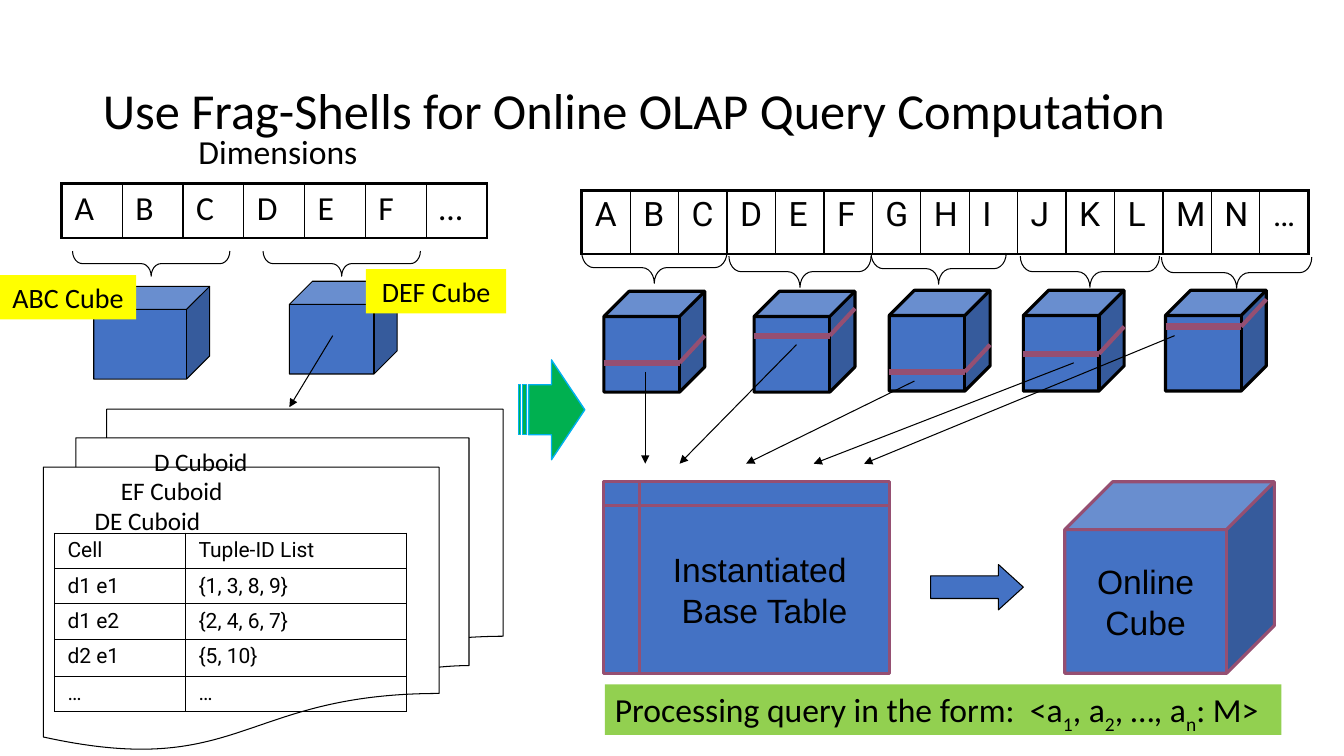
from lxml.etree import SubElement
from pptx import Presentation
from pptx.dml.color import RGBColor
from pptx.enum.shapes import MSO_CONNECTOR, MSO_SHAPE
from pptx.enum.text import MSO_ANCHOR, PP_ALIGN
from pptx.oxml import parse_xml
from pptx.oxml.ns import nsdecls, qn
from pptx.util import Inches, Pt

COLORS = {
    "ink": "000000", "cube": "4472C4", "band": "954F72", "label": "FFFF00",
    "query": "92D050", "arrow": "00B050", "arrow_edge": "00B0F0",
}


def color(name):
    return RGBColor.from_string(COLORS[name])


def style_text(frame, size, font, align=PP_ALIGN.LEFT, anchor=MSO_ANCHOR.TOP):
    frame.vertical_anchor = anchor
    for para in frame.paragraphs:
        para.alignment = align
        for span in para.runs:
            span.font.size, span.font.name = Pt(size), font
            span.font.color.rgb = color("ink")


def add_shape(page, kind, box, fill=None, line="ink", weight=0.75, adjust=()):
    shape = page.shapes.add_shape(kind, *map(Inches, box))
    shape.shadow.inherit = False
    if fill:
        shape.fill.solid()
        shape.fill.fore_color.rgb = color(fill)
    else:
        shape.fill.background()
    if line:
        shape.line.color.rgb = color(line)
        shape.line.width = Pt(weight)
    else:
        shape.line.fill.background()
    for index, value in enumerate(adjust):
        shape.adjustments[index] = value
    return shape


def add_brace(page, left, top, width, height):
    """Place a brace that opens upwards and fills the given box."""
    box = (left + (width - height) / 2, top + (height - width) / 2, height, width)
    brace = add_shape(page, MSO_SHAPE.LEFT_BRACE, box, adjust=(0.39, 0.5))
    brace.rotation = 270


def add_line(page, start, end, line="ink", weight=0.75, arrow=False):
    connector = page.shapes.add_connector(
        MSO_CONNECTOR.STRAIGHT, *map(Inches, (*start, *end)))
    connector.line.color.rgb = color(line)
    connector.line.width = Pt(weight)
    properties = connector._element.spPr
    if arrow:
        SubElement(properties.find(qn("a:ln")), qn("a:tailEnd"), type="triangle")
    SubElement(properties, qn("a:effectLst"))


def add_label(page, text, box, size):
    label = page.shapes.add_textbox(*map(Inches, box))
    label.text_frame.word_wrap = True
    label.text_frame.text = text
    style_text(label.text_frame, size, "Calibri")


def set_borders(cell, weights):
    """Set the left, right, top and bottom border weights in points."""
    properties = cell._tc.get_or_add_tcPr()
    for index, (side, weight) in enumerate(zip("LRTB", weights)):
        properties.insert(index, parse_xml(
            f'<a:ln{side} {nsdecls("a")} w="{int(Pt(weight))}"><a:solidFill>'
            f'<a:srgbClr val="{COLORS["ink"]}"/></a:solidFill></a:ln{side}>'))


def add_grid(page, rows, left, top, widths, heights, size, font, edge):
    """Add a ruled table whose outer border has the weight given by edge."""
    table = page.shapes.add_table(
        len(rows), len(widths), Inches(left), Inches(top),
        Inches(sum(widths)), Inches(sum(heights))).table
    table.first_row = table.horz_banding = False
    for column, width in zip(table.columns, widths):
        column.width = Inches(width)
    last_row, last_column = len(rows) - 1, len(widths) - 1
    for r, values in enumerate(rows):
        table.rows[r].height = Inches(heights[r])
        for c, value in enumerate(values):
            cell = table.cell(r, c)
            cell.text = value
            cell.margin_left = cell.margin_right = Inches(0.13)
            cell.margin_top = cell.margin_bottom = Inches(0.05)
            cell.fill.background()
            style_text(cell.text_frame, size, font)
            outer = (c == 0, c == last_column, r == 0, r == last_row)
            set_borders(cell, [edge if side else 1 for side in outer])


def add_title(page, box):
    title = page.shapes.title
    title.left, title.top, title.width, title.height = map(Inches, box)
    title.text_frame.text = "Use Frag-Shells for Online OLAP Query Computation"
    title.text_frame.paragraphs[0].line_spacing = 0.9
    style_text(title.text_frame, 36, "Calibri", anchor=MSO_ANCHOR.MIDDLE)


def add_shell_fragments(page, left, top):
    add_grid(page, [[*"ABCDEF…"]], left + 0.61, top + 0.57, [4.22 / 7] * 7,
             [0.54], 24, "Calibri", 2.25)
    for x in (0.72, 2.61):
        add_brace(page, left + x, top + 1.24, 1.56, 0.25)
    for x, y, width in ((0.93, 1.59, 1.15), (2.87, 1.54, 1.07)):
        add_shape(page, MSO_SHAPE.CUBE, (left + x, top + y, width, 0.92), "cube")
    for text, x, y, width in (("ABC Cube", 0, 1.48, 1.35),
                              ("DEF Cube", 3.63, 1.42, 1.39)):
        tag = add_shape(page, MSO_SHAPE.RECTANGLE,
                        (left + x, top + y, width, 0.44), "label", None)
        tag.text_frame.text = text
        style_text(tag.text_frame, 20, "Calibri", PP_ALIGN.CENTER)
    add_line(page, (left + 3.3, top + 2.08), (left + 2.87, top + 2.79), arrow=True)
    add_label(page, "Dimensions", (left + 1.87, top, 1.79, 0.5), 24)


def add_cuboids(page, left, top):
    add_shape(page, MSO_SHAPE.FLOWCHART_MULTIDOCUMENT, (left, top, 4.56, 3.38))
    for text, x, y in (("D Cuboid", 1.0, 0.32), ("EF Cuboid", 0.67, 0.61),
                       ("DE Cuboid", 0.41, 0.9)):
        add_label(page, text, (left + x, top + y, 1.26, 0.4), 18)
    rows = [("Cell", "Tuple-ID List"), ("d1 e1", "{1, 3, 8, 9}"),
            ("d1 e2", "{2, 4, 6, 7}"), ("d2 e1", "{5, 10}"), ("…", "…")]
    add_grid(page, rows, left + 0.11, top + 1.23, [1.3, 2.19],
             [0.35, 0.35, 0.35, 0.37, 0.35], 15, "Roboto", 1)


def add_base_fragments(page, left, top):
    """Draw the dimension strip, its cubes and the arrows to the base table."""
    add_grid(page, [[*"ABCDEFGHIJKLMN…"]], left, top, [7.21 / 15] * 15,
             [0.63], 24, "Roboto", 2.25)
    for x, y, width in ((0, 0.61, 1.44), (1.46, 0.65, 1.41), (2.87, 0.62, 1.34),
                        (4.35, 0.65, 1.38), (5.75, 0.66, 1.49)):
        add_brace(page, left + x, top + y, width, 0.31)
    # cube left, cube top, band depth, arrow start in cube, arrow end
    fragments = ((0.22, 1.0, 0.71, 0.41, 0.63), (1.71, 1.0, 0.44, 0.42, 0.97),
                 (3.05, 0.99, 0.81, 0.25, 1.63), (4.38, 0.99, 0.63, 0.5, 2.3),
                 (5.79, 0.99, 0.36, 0.09, 2.8))
    for x, y, depth, _, _ in fragments:
        start, band = left + x, top + y + depth
        corner = (start + 0.75, band)
        add_shape(page, MSO_SHAPE.CUBE, (start, top + y, 1, 1), "cube",
                  weight=2.25, adjust=(0.25,))
        add_line(page, (start, band), corner, "band", 4.5)
        add_line(page, corner, (start + 1, band - 0.27), "band", 3)
    for x, y, depth, start, end in fragments:
        add_line(page, (left + x + start, top + y + depth + 0.09),
                 (left + end, top + 2.71), arrow=True)


def add_online_cube(page, left, top):
    for kind, text, x, width in (
            (MSO_SHAPE.CUBE, "Online\nCube", 4.57, 2.08),
            (MSO_SHAPE.FLOWCHART_INTERNAL_STORAGE, "Instantiated \nBase Table", 0, 2.83)):
        block = add_shape(page, kind, (left + x, top, width, 1.9), "cube", "band", 2.25)
        block.text_frame.text = text
        block.text_frame.word_wrap = False
        style_text(block.text_frame, 24, "Arial", PP_ALIGN.CENTER, MSO_ANCHOR.MIDDLE)
    add_shape(page, MSO_SHAPE.RIGHT_ARROW, (left + 3.24, top + 0.82, 0.92, 0.45),
              "cube", adjust=(0.5, 0.55))


def add_query(page, box):
    bar = add_shape(page, MSO_SHAPE.RECTANGLE, box, "query", None)
    para = bar.text_frame.paragraphs[0]
    parts = ("Processing query in the form:  <a", "1", ", a", "2", ", …, a", "n", ": M>")
    for index, part in enumerate(parts):
        span = para.add_run()
        span.text = part
        if index % 2:
            span.font._element.set("baseline", "-25000")
    style_text(bar.text_frame, 24, "Calibri")


def main():
    deck = Presentation()
    deck.slide_width, deck.slide_height = Inches(13.33), Inches(7.5)
    page = deck.slides.add_slide(deck.slide_layouts[5])
    add_title(page, (0.92, 0.4, 11.5, 1.45))
    add_shell_fragments(page, 0, 1.25)
    add_cuboids(page, 0.43, 4.06)
    add_base_fragments(page, 5.77, 1.89)
    add_online_cube(page, 5.99, 4.78)
    add_shape(page, MSO_SHAPE.STRIPED_RIGHT_ARROW, (5.14, 3.57, 0.66, 0.99),
              "arrow", "arrow_edge", 1)
    add_query(page, (6, 6.79, 6.71, 0.5))
    deck.save("out.pptx")


if __name__ == "__main__":
    main()
